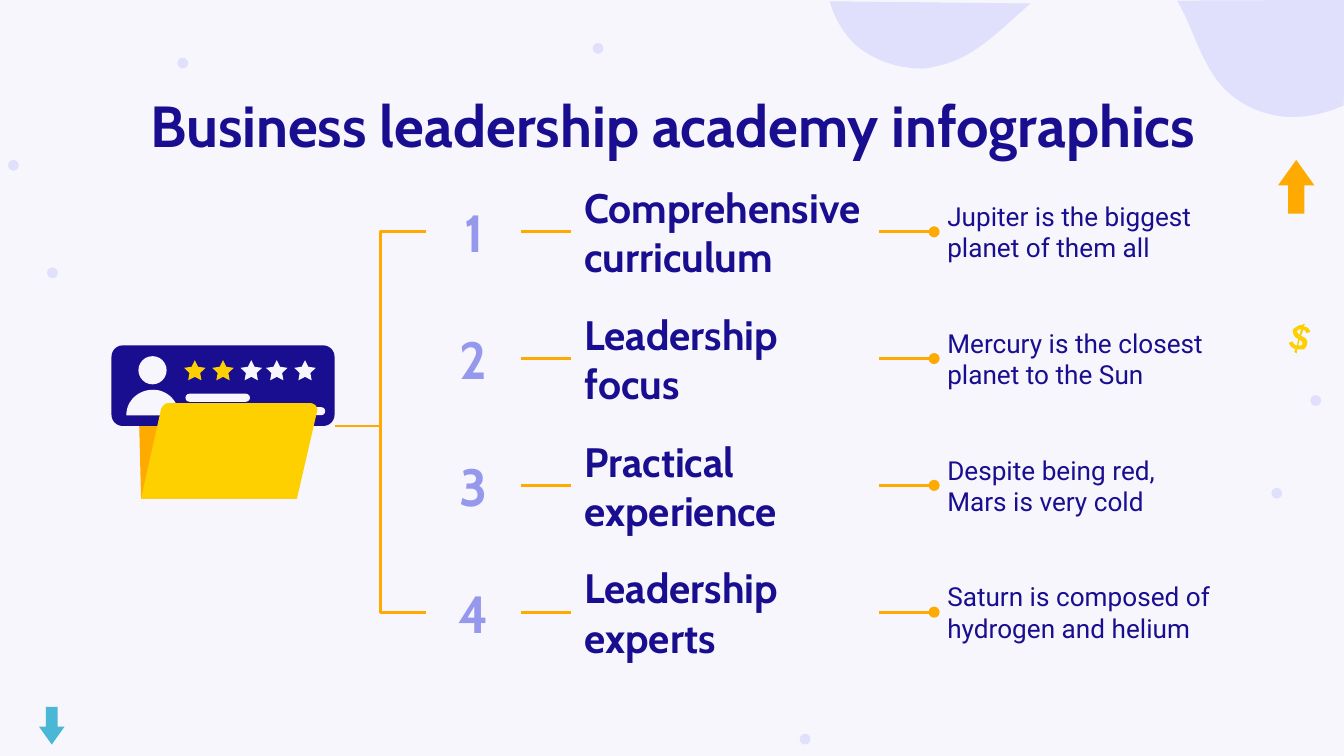
from lxml.etree import SubElement
from pptx import Presentation
from pptx.dml.color import RGBColor
from pptx.enum.shapes import MSO_CONNECTOR, MSO_SHAPE
from pptx.enum.text import MSO_ANCHOR, MSO_AUTO_SIZE, PP_ALIGN
from pptx.oxml.ns import qn
from pptx.util import Inches, Pt

# Content
TITLE = "Business leadership academy infographics"
ROWS = [
    ("1", "Comprehensive curriculum", "Jupiter is the biggest planet of them all"),
    ("2", "Leadership focus", "Mercury is the closest planet to the Sun"),
    ("3", "Practical experience", "Despite being red, Mars is very cold"),
    ("4", "Leadership experts", "Saturn is composed of hydrogen and helium"),
]

# Colours
NAVY, LILAC, PALE, LAVENDER = "1A0E90", "9698ED", "F6F6FC", "E0E0FD"
ORANGE, YELLOW, BLUE = "FFAA00", "FFD000", "4AB7D6"

# Text formats
TITLE_FORMAT = {"size": Pt(31), "name": "Cabin", "bold": True}
# Columns of a row: left, width, colour, alignment, font format
COLUMNS = [
    (3.17, 0.71, LILAC, PP_ALIGN.CENTER, {"size": Pt(28), "name": "Cabin", "bold": True}),
    (4.25, 2.29, NAVY, PP_ALIGN.LEFT, {"size": Pt(22), "name": "Cabin", "bold": True}),
    (6.95, 2.23, NAVY, PP_ALIGN.LEFT, {"size": Pt(14), "name": "Roboto", "bold": False}),
]
FIRST_TOP, LAST_TOP, ROW_HEIGHT = 1.27, 4.1, 0.91
HUB = (2.49, 3.17)

# Decoration; an outline step of two numbers is a line, of six a curve
DOTS = [(5.95, 5.46), (9.46, 3.63), (0.06, 1.19), (4.41, 0.32),
        (1.32, 0.43), (0.35, 1.99), (9.75, 2.94)]
ARROWS = [(MSO_SHAPE.UP_ARROW, (9.51, 1.19, 0.27, 0.4), ORANGE),
          (MSO_SHAPE.DOWN_ARROW, (0.29, 5.26, 0.19, 0.28), BLUE)]
LEFT_WAVE = [(6.16, -0.27), (6.12, -0.06, 6.2, 0.17, 6.36, 0.33),
             (6.5, 0.45, 6.68, 0.51, 6.86, 0.51), (6.9, 0.51, 6.94, 0.5, 6.98, 0.49),
             (7.27, 0.43, 7.48, 0.18, 7.71, -0.01)]
RIGHT_WAVE = [(8.54, -0.22), (8.85, -0.05, 8.86, 0.39, 9.1, 0.65),
              (9.24, 0.8, 9.45, 0.88, 9.65, 0.87), (9.87, 0.86, 10.07, 0.77, 10.23, 0.64),
              (10, 0)]
DOLLAR = [
    [(9.7, 2.41), (9.69, 2.42), (9.67, 2.42), (9.65, 2.43), (9.62, 2.45),
     (9.62, 2.47, 9.62, 2.51, 9.66, 2.52), (9.65, 2.57), (9.63, 2.57, 9.62, 2.55, 9.62, 2.54),
     (9.59, 2.55), (9.6, 2.58, 9.62, 2.59, 9.64, 2.6), (9.63, 2.62), (9.65, 2.63), (9.65, 2.6),
     (9.7, 2.6), (9.73, 2.58, 9.75, 2.52, 9.68, 2.5), (9.7, 2.45),
     (9.71, 2.46, 9.72, 2.47, 9.72, 2.48), (9.75, 2.47), (9.74, 2.44, 9.72, 2.43, 9.7, 2.43),
     (9.71, 2.41)],
    [(9.68, 2.45), (9.67, 2.49), (9.65, 2.48, 9.64, 2.45, 9.68, 2.45)],
    [(9.67, 2.53), (9.7, 2.54, 9.7, 2.58, 9.66, 2.57)],
]

# Folder icon
FOLDER_BACK = [(1.18, 2.84), (1.12, 2.92), (1.03, 2.94), (1.05, 3.71), (2.21, 3.71),
               (2.19, 2.94), (1.7, 2.92), (1.63, 2.84)]
FOLDER_FRONT = [(1.25, 3), (1.23, 3, 1.21, 3.02, 1.2, 3.04), (1.05, 3.71), (2.21, 3.71),
                (2.36, 3.06), (2.37, 3.03, 2.34, 3, 2.31, 3)]
SHOULDERS = [(1.14, 2.9), (1.03, 2.9, 0.94, 2.98, 0.94, 3.09), (1.33, 3.09),
             (1.33, 2.98, 1.24, 2.9, 1.14, 2.9)]
BAR_BOXES = [(1.38, 2.93, 0.48, 0.06), (1.38, 3.03, 1.04, 0.06)]
STARS = [(1.37, YELLOW), (1.58, YELLOW), (1.79, PALE), (1.98, PALE), (2.19, PALE)]


def color(hex_text):
    return RGBColor.from_string(hex_text)


def paint(shape, fill):
    shape.shadow.inherit = False
    shape.fill.solid()
    shape.fill.fore_color.rgb = color(fill)
    shape.line.fill.background()


def add_preset(shapes, kind, box, fill, adjustments=()):
    shape = shapes.add_shape(kind, *map(Inches, box))
    for index, value in enumerate(adjustments):
        shape.adjustments[index] = value
    paint(shape, fill)


def trace(outline, steps=16):
    """Turn lines and curves into points in EMU that lie on the slide."""
    points = [outline[0]]
    for step in outline[1:]:
        if len(step) == 2:
            points.append(step)
            continue
        x0, y0 = points[-1]
        x1, y1, x2, y2, x3, y3 = step
        for index in range(1, steps + 1):
            t = index / steps
            a, b, c, d = (1 - t) ** 3, 3 * t * (1 - t) ** 2, 3 * t * t * (1 - t), t ** 3
            points.append((a * x0 + b * x1 + c * x2 + d * x3,
                           a * y0 + b * y1 + c * y2 + d * y3))
    return [(Inches(x), Inches(y)) for x, y in points if x <= 10 and y >= 0]


def add_outline(shapes, outlines, fill):
    contours = [trace(outline) for outline in outlines]
    builder = shapes.build_freeform(*contours[0][0])
    builder.add_line_segments(contours[0][1:], close=True)
    for contour in contours[1:]:
        builder.move_to(*contour[0])
        builder.add_line_segments(contour[1:], close=True)
    paint(builder.convert_to_shape(), fill)


def write(shape, text, hex_text, alignment, font_format, anchor):
    frame = shape.text_frame
    frame_format = {"word_wrap": True, "auto_size": MSO_AUTO_SIZE.NONE, "vertical_anchor": anchor}
    frame_format.update({f"margin_{side}": Inches(0.1)
                         for side in ("left", "top", "right", "bottom")})
    for name, value in frame_format.items():
        setattr(frame, name, value)
    paragraph = frame.paragraphs[0]
    paragraph.alignment = alignment
    run = paragraph.add_run()
    run.text = text
    for name, value in font_format.items():
        setattr(run.font, name, value)
    run.font.color.rgb = color(hex_text)
    return paragraph


def add_link(shapes, kind, start, end, target, source=None, dot=False):
    connector = shapes.add_connector(kind, *map(Inches, (*start, *end)))
    if source is not None:
        connector.begin_connect(source, 3)
    connector.end_connect(target, 1)
    connector.line.color.rgb = color(ORANGE)
    connector.line.width = Pt(1.5)
    properties = connector._element.spPr
    if dot:
        SubElement(properties.find(qn("a:ln")), qn("a:tailEnd"), type="oval")
    SubElement(properties, qn("a:effectLst"))


# Widescreen slide, 16 to 9
presentation = Presentation()
presentation.slide_width, presentation.slide_height = Inches(10), Inches(10) * 9 // 16
slide = presentation.slides.add_slide(presentation.slide_layouts[5])
shapes = slide.shapes
slide.background.fill.solid()
slide.background.fill.fore_color.rgb = color(PALE)

# Decoration
for left, top in DOTS:
    add_preset(shapes, MSO_SHAPE.OVAL, (left, top, 0.08, 0.08), LAVENDER)
for kind, box, fill in ARROWS:
    add_preset(shapes, kind, box, fill, (0.45, 0.7))
for outlines, fill in (([LEFT_WAVE], LAVENDER), ([RIGHT_WAVE], LAVENDER), (DOLLAR, YELLOW)):
    add_outline(shapes, outlines, fill)

# Title
title = shapes.title
title.left, title.top, title.width, title.height = map(Inches, (0.79, 0.49, 8.43, 0.63))
write(title, TITLE, NAVY, PP_ALIGN.CENTER, TITLE_FORMAT, MSO_ANCHOR.TOP).line_spacing = 1.15

# Rows with their connectors
pitch = (LAST_TOP - FIRST_TOP) / (len(ROWS) - 1)
for row_index, row in enumerate(ROWS):
    top = FIRST_TOP + row_index * pitch
    middle = top + ROW_HEIGHT / 2
    boxes = []
    for text, (left, width, hex_text, alignment, font_format) in zip(row, COLUMNS):
        box = shapes.add_textbox(*map(Inches, (left, top, width, ROW_HEIGHT)))
        write(box, text, hex_text, alignment, font_format, MSO_ANCHOR.MIDDLE)
        boxes.append(box)
    for index in (0, 1):
        left, width = COLUMNS[index][:2]
        add_link(shapes, MSO_CONNECTOR.STRAIGHT, (left + width, middle),
                 (COLUMNS[index + 1][0], middle), boxes[index + 1], boxes[index], dot=index == 1)
    if row_index in (0, len(ROWS) - 1):
        add_link(shapes, MSO_CONNECTOR.ELBOW, HUB, (COLUMNS[0][0], middle), boxes[0])

# Folder icon
icon = shapes.add_group_shape().shapes
add_outline(icon, [FOLDER_BACK], ORANGE)
add_preset(icon, MSO_SHAPE.ROUNDED_RECTANGLE, (0.83, 2.57, 1.66, 0.6), NAVY, (0.14,))
add_preset(icon, MSO_SHAPE.OVAL, (1.03, 2.65, 0.21, 0.21), PALE)
add_outline(icon, [SHOULDERS], PALE)
for box in BAR_BOXES:
    add_preset(icon, MSO_SHAPE.ROUNDED_RECTANGLE, box, PALE, (0.5,))
for left, fill in STARS:
    add_preset(icon, MSO_SHAPE.STAR_5_POINT, (left, 2.68, 0.16, 0.15), fill, (0.25,))
add_outline(icon, [FOLDER_FRONT], YELLOW)

presentation.save("out.pptx")
